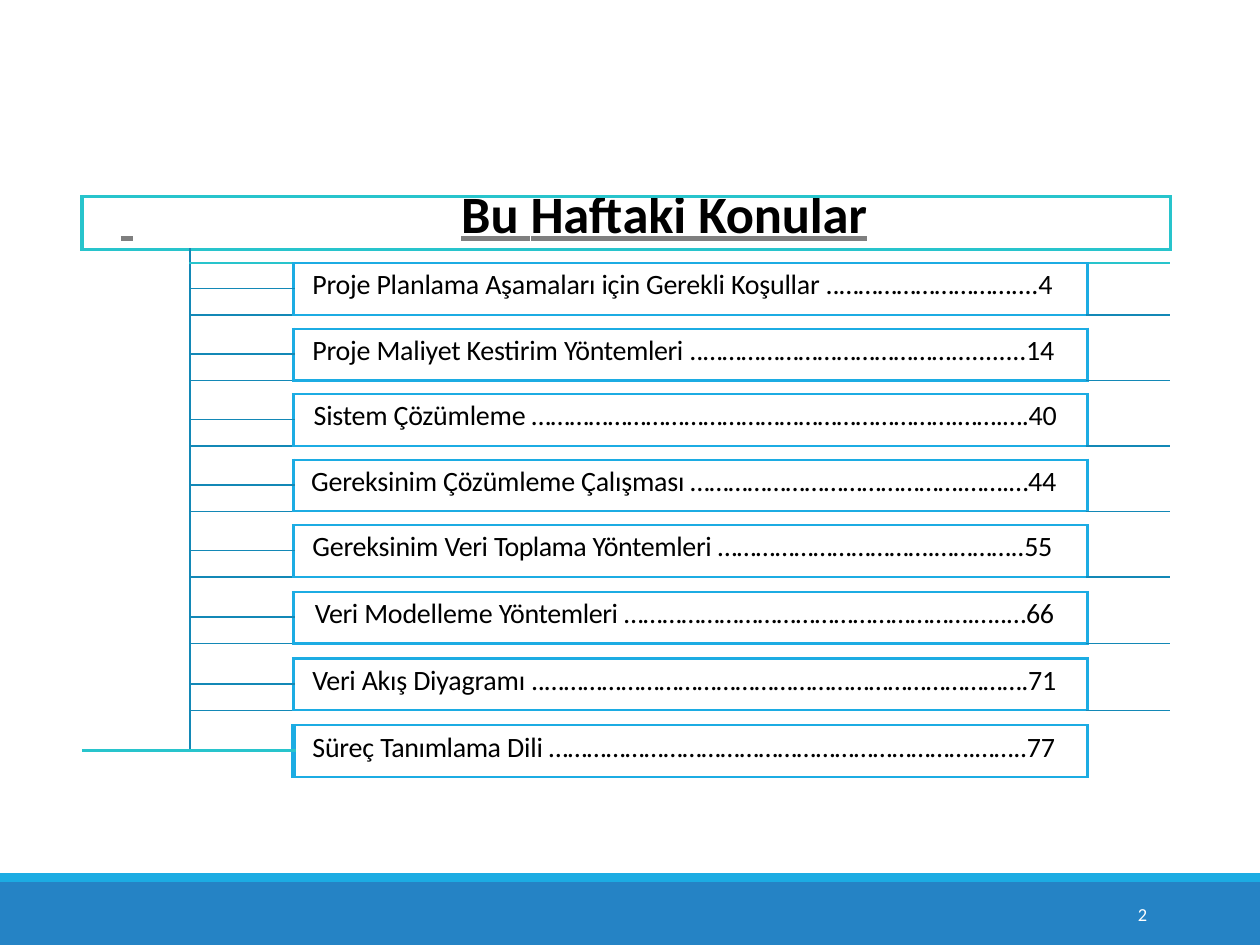
from lxml.etree import SubElement
from pptx import Presentation
from pptx.dml.color import RGBColor
from pptx.enum.shapes import MSO_SHAPE as Shape
from pptx.oxml.ns import qn
from pptx.util import Inches, Pt

COLORS = {"band": "2583C5", "sky": "1CACE3", "teal": "28C4CC", "tree": "1388B6",
          "ink": "000000", "underline": "7F7F7F", "white": "FFFFFF"}

TITLE = [(" \tBu ", 0), ("Haftaki", -0.1), (" ", -0.8), ("Konular", -0.1)]
TITLE_TABS = [2.7]
TOPICS = [
    (0.15, [("Proje Planlama Aşamaları için Gerekli Koşullar ..………………………....4", -0.1)]),
    (0.15, [("Proje Maliyet Kestirim ", -0.1), ("Yöntemleri ", -0.2),
            ("..…………………………………...........14", -0.1)]),
    (0.16, [("Sistem Çözümleme ………………………………………………………….…….….40", -0.1)]),
    (0.14, [("Gereksinim Çözümleme Çalışması …………………………………….…….…44", -0.1)]),
    (0.15, [("Gereksinim ", -0.1), ("Veri ", -0.2), ("Toplama ", -0.3), ("Yöntemleri ", -0.2),
            ("…………………………….…………..55", -0.1)]),
    (0.17, [("Veri ", -0.2), ("Modelleme ", -0.1), ("Yöntemleri ", -0.2),
            ("……………………………………………….…..…66", -0.1)]),
    (0.15, [("Veri ", -0.2),
            ("Akış Diyagramı ..………………………………………………………………….71", -0.1)]),
    (0.15, [("Süreç ", -0.1), ("Tanımlama ", -0.2),
            ("Dili ………………………………………………………….……..77", -0.1)]),
]
BANDS = [("band", 7, 0.5), ("sky", 6.93, 0.07)]
PAGE = "2"

COLUMNS = [0.86, 0.82, 6.3, 0.66]
TITLE_HEIGHT, UPPER, LOWER = 0.42, 0.2, 0.21
GAPS = [0.11] * 5 + [0.12] * 3
NO_STYLE = "{2D5ABB26-0587-4C30-8999-92F81FD0307C}"

TITLE_FONT = {"name": "Calibri", "size": Pt(30), "bold": True, "underline": True}
TOPIC_FONT = {"name": "Calibri", "size": Pt(16)}
PAGE_FONT = {"name": "Calibri", "size": Pt(10.5)}
TREE = ("tree", 1)


def rgb(key):
    return RGBColor.from_string(COLORS[key])


def write(paragraph, runs, font, color, indent):
    paragraph._p.get_or_add_pPr().set("marL", str(Inches(indent)))
    for text, spacing in runs:
        run = paragraph.add_run()
        run.text = text
        for name, value in font.items():
            setattr(run.font, name, value)
        run.font.color.rgb = rgb(color)
        run.font._element.set("spc", str(round(spacing * 100)))


def border(cell, **sides):
    properties = cell._tc.get_or_add_tcPr()
    for side in "LRTB":
        if side in sides:
            color, width = sides[side]
            line = SubElement(properties, qn(f"a:ln{side}"), w=str(Pt(width)))
            fill = SubElement(line, qn("a:solidFill"))
            SubElement(fill, qn("a:srgbClr"), val=COLORS[color])


def build_table(slide):
    heights = [TITLE_HEIGHT] + [h for gap in GAPS for h in (gap, UPPER, LOWER)]
    table = slide.shapes.add_table(
        len(heights), len(COLUMNS), Inches(0.65), Inches(1.56),
        Inches(sum(COLUMNS)), Inches(sum(heights))).table
    table.first_row = table.horz_banding = False
    table._tbl.tblPr.find(qn("a:tableStyleId")).text = NO_STYLE
    for column, width in zip(table.columns, COLUMNS):
        column.width = Inches(width)
    for row, height in zip(table.rows, heights):
        row.height = Inches(height)

    cell = table.cell
    last = len(heights) - 1
    cell(0, 0).merge(cell(0, 3))
    cell(1, 0).merge(cell(last - 1, 0))
    cell(last, 0).merge(cell(last, 1))
    for column in range(4):
        border(cell(0, column), L=("teal", 2.25), R=("teal", 2.25),
               T=("teal", 1.5), B=("teal", 1.5))
    for row in range(1, last):
        border(cell(row, 0), R=TREE)
    for column in range(2):
        border(cell(last, column), R=("sky", 3), T=("teal", 1.5))

    for index, (indent, runs) in enumerate(TOPICS):
        gap = 1 + 3 * index
        upper, lower = gap + 1, gap + 2
        final = lower == last
        left = ("sky", 3 if final else 2.25)
        cell(gap, 1).merge(cell(gap, 3))
        for column in (2, 3):
            cell(upper, column).merge(cell(lower, column))
        top = {} if index else {"T": ("teal", 1.5)}
        for column in (1, 2, 3):
            border(cell(gap, column), **top, **({"L": TREE} if column == 1 else {}))
        border(cell(upper, 1), L=TREE, R=left, B=("teal", 1.5) if final else TREE)
        if not final:
            border(cell(lower, 1), L=TREE, R=left, T=TREE, B=TREE)
        for row in (upper, lower):
            border(cell(row, 2), L=left, R=("sky", 2.25), T=("sky", 1.5), B=("sky", 1.5))
            if not final:
                border(cell(row, 3), B=TREE)
        paragraph = cell(upper, 2).text_frame.paragraphs[0]
        write(paragraph, runs, TOPIC_FONT, "ink", indent)
        paragraph.space_before = Pt(3)

    heading = cell(0, 0).text_frame.paragraphs[0]
    write(heading, TITLE, TITLE_FONT, "ink", 0.31)
    heading.line_spacing = Pt(29.2)
    tabs = SubElement(heading._p.pPr, qn("a:tabLst"))
    for position in TITLE_TABS:
        SubElement(tabs, qn("a:tab"), pos=str(Inches(position)), algn="l")
    for run in heading.runs:
        properties = run.font._element
        underline = SubElement(properties, qn("a:uFill"))
        fill = SubElement(underline, qn("a:solidFill"))
        SubElement(fill, qn("a:srgbClr"), val=COLORS["underline"])
        properties.find(qn("a:latin")).addprevious(underline)

    for part in table.iter_cells():
        part.margin_left = part.margin_right = part.margin_top = part.margin_bottom = 0
        part.fill.background()
        if part.text:
            part.margin_top = 0 if part.is_merge_origin and part.span_width == 4 else Inches(0.04)
        else:
            SubElement(part.text_frame.paragraphs[0]._p, qn("a:endParaRPr"), sz="400")


def main():
    deck = Presentation()
    deck.slide_width, deck.slide_height = Inches(10), Inches(7.5)
    slide = deck.slides.add_slide(deck.slide_layouts[6])
    for color, top, height in BANDS:
        band = slide.shapes.add_shape(Shape.RECTANGLE, 0, Inches(top), Inches(10), Inches(height))
        band.shadow.inherit = False
        band.fill.solid()
        band.fill.fore_color.rgb = rgb(color)
        band.line.fill.background()
    build_table(slide)

    page = slide.shapes.add_textbox(Inches(8.99), Inches(7.18), Inches(0.14), Inches(0.19)).text_frame
    page.word_wrap = True
    page.margin_left = page.margin_right = page.margin_top = page.margin_bottom = 0
    write(page.paragraphs[0], [(PAGE, 0.1)], PAGE_FONT, "white", 0.04)
    page.paragraphs[0].line_spacing = Pt(11.6)
    deck.save("out.pptx")


if __name__ == "__main__":
    main()
